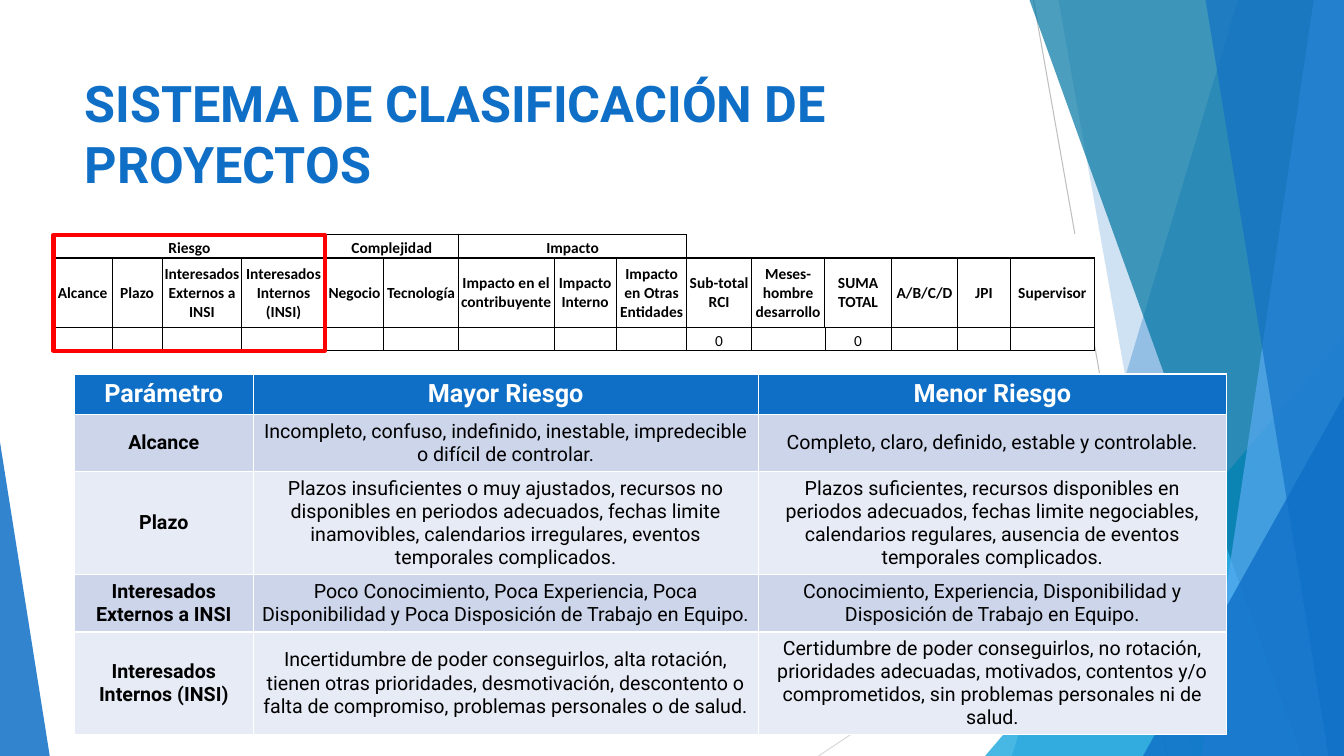
"""Build the project classification slide."""
from lxml import etree
from pptx import Presentation
from pptx import util as u
from pptx.dml.color import RGBColor
from pptx.enum import shapes as sh, text as tx
from pptx.oxml.ns import qn

WIDE, HIGH = u.Inches(13.33), u.Inches(7.5)
BLUE, BLACK, WHITE, RED = "0F6FC6", "000000", "FFFFFF", "FF0000"

SCORE_COLS = [58, 50, 79, 83, 58, 74, 95, 62, 70, 64, 73, 66, 66, 52, 84]
GROUPS = [("Riesgo", 0, 3), ("Complejidad", 4, 5), ("Impacto", 6, 8)]
HEADS = ["Alcance", "Plazo", "Interesados Externos a INSI", "Interesados Internos (INSI)",
         "Negocio", "Tecnología", "Impacto en el contribuyente", "Impacto Interno",
         "Impacto en Otras Entidades", "Sub-total RCI", "Meses-hombre desarrollo",
         "SUMA TOTAL", "A/B/C/D", "JPI", "Supervisor"]
TOTALS = {9: "0", 11: "0"}
HEAVY = {0, 4, 6, 9, 10, 15}

RISKS = [
    ["Parámetro", "Mayor Riesgo", "Menor Riesgo"],
    ["Alcance",
     "Incompleto, confuso, indefinido, inestable, impredecible o difícil de controlar.",
     "Completo, claro, definido, estable y controlable."],
    ["Plazo",
     "Plazos insuficientes o muy ajustados, recursos no disponibles en periodos adecuados, "
     "fechas limite inamovibles, calendarios irregulares, eventos temporales complicados.",
     "Plazos suficientes, recursos disponibles en periodos adecuados, fechas limite "
     "negociables, calendarios regulares, ausencia de eventos temporales complicados."],
    ["Interesados Externos a INSI",
     "Poco Conocimiento, Poca Experiencia, Poca Disponibilidad y Poca Disposición de "
     "Trabajo en Equipo.",
     "Conocimiento, Experiencia, Disponibilidad y Disposición de Trabajo en Equipo."],
    ["Interesados Internos (INSI)",
     "Incertidumbre de poder conseguirlos, alta rotación, tienen otras prioridades, "
     "desmotivación, descontento o falta de compromiso, problemas personales o de salud.",
     "Certidumbre de poder conseguirlos, no rotación, prioridades adecuadas, motivados, "
     "contentos y/o comprometidos, sin problemas personales ni de salud."],
]


def hue(code):
    """Turn a hex string into a colour."""
    return RGBColor.from_string(code)


def across(share):
    """Give a percentage of the slide's width."""
    return u.Emu(round(WIDE * share / 100))


def down(share):
    """Give a percentage of the slide's height."""
    return u.Emu(round(HIGH * share / 100))


def place(left, top, wide, high):
    """Turn four percentages into a box."""
    return across(left), down(top), across(wide), down(high)


def write(frame, words, size=14, font="Roboto", color=BLACK, bold=False,
          align=tx.PP_ALIGN.CENTER):
    """Put formatted text into a frame."""
    para = frame.paragraphs[0]
    para.alignment = align
    if not words:
        para._p.get_or_add_endParaRPr().set("sz", str(size * 100))
        return
    run = para.add_run()
    run.text = words
    run.font.size, run.font.name, run.font.bold = u.Pt(size), font, bold
    run.font.color.rgb = hue(color)


def tint(shape, color, alpha):
    """Fill a shape with a see-through colour, without outline or shadow."""
    shape.shadow.inherit = False
    shape.line.fill.background()
    shape.fill.solid()
    shape.fill.fore_color.rgb = hue(color)
    mark = shape._element.spPr.find(".//" + qn("a:srgbClr"))
    etree.SubElement(mark, qn("a:alpha")).set("val", str(alpha * 1000))


def ray(slide, start, end, color):
    """Draw a thin straight line."""
    line = slide.shapes.add_connector(sh.MSO_CONNECTOR.STRAIGHT, across(start[0]),
                                      down(start[1]), across(end[0]), down(end[1]))
    line.line.color.rgb = hue(color)
    line.line.width = u.Pt(0.75)
    etree.SubElement(line._element.spPr, qn("a:effectLst"))


def pane(slide, top, foot, color, alpha):
    """Draw a slanted pane reaching the right edge."""
    pen = slide.shapes.build_freeform(across(top), 0)
    pen.add_line_segments([(WIDE, 0), (WIDE, HIGH), (across(foot), HIGH)], close=True)
    tint(pen.convert_to_shape(), color, alpha)


def wedge(slide, left, top, wide, tip, color, alpha):
    """Draw a triangle standing on the bottom edge."""
    shape = slide.shapes.add_shape(sh.MSO_SHAPE.ISOSCELES_TRIANGLE,
                                   *place(left, top, wide, 100 - top))
    shape.adjustments[0] = tip
    tint(shape, color, alpha)


def decor(slide):
    """Draw the background facets from back to front."""
    ray(slide, (76.9, 0), (86.85, 100), "BFBFBF")
    ray(slide, (100, 53.75), (60.9, 100), "D9D9D9")
    pane(slide, 92.1, 75.3, BLUE, 30)
    pane(slide, 78.75, 88.75, BLUE, 20)
    wedge(slide, 73.3, 44.4, 26.7, 1, "009DD9", 72)
    pane(slide, 76.6, 96.85, "0076A3", 70)
    pane(slide, 97.75, 89.4, "59AAF2", 70)
    pane(slide, 89.7, 98.85, BLUE, 65)
    wedge(slide, 85.05, 52.4, 14.95, 1, BLUE, 80)
    wedge(slide, 0, 58.5, 3.7, 0, BLUE, 85)


def grid(slide, box, cols, rows):
    """Add a table whose columns and rows share the box by weight."""
    table = slide.shapes.add_table(len(rows), len(cols), *box).table
    for col, part in zip(table.columns, cols):
        col.width = u.Emu(round(box[2] * part / sum(cols)))
    for row, part in zip(table.rows, rows):
        row.height = u.Emu(round(box[3] * part / sum(rows)))
    return table


def paint(cell, color, anchor=tx.MSO_ANCHOR.MIDDLE, tight=False):
    """Set a cell's fill, anchor and margins."""
    cell.fill.solid()
    cell.fill.fore_color.rgb = hue(color)
    cell.vertical_anchor = anchor
    if tight:
        cell.margin_left = cell.margin_right = cell.margin_top = cell.margin_bottom = 0


def edge(cell, **sides):
    """Add black borders, with widths in points by side."""
    for side in "LRTB":
        if side in sides:
            line = etree.SubElement(cell._tc.get_or_add_tcPr(), qn("a:ln" + side))
            line.set("w", str(u.Pt(sides[side])))
            fill = etree.SubElement(line, qn("a:solidFill"))
            etree.SubElement(fill, qn("a:srgbClr")).set("val", BLACK)


def rule(row, col):
    """Give the width of the upright at the left of a column."""
    return 1 if col in HEAVY or (row == 1 and col > 9) else 0.5


def scores(slide, box):
    """Draw the scoring table with its grouped headings."""
    table = grid(slide, box, SCORE_COLS, [1, 3, 1])
    table.first_row = table.horz_banding = False
    tops = {first: name for name, first, last in GROUPS}
    for row in range(3):
        for col, head in enumerate(HEADS):
            cell = table.cell(row, col)
            if row == 0 and col > 8:
                edge(cell, B=1, **({"L": 1} if col == 9 else {}))
            else:
                edge(cell, L=rule(row, col), R=rule(row, col + 1), T=1,
                     B=0.5 if row == 2 else 1)
            words = (tops.get(col, ""), head, TOTALS.get(col, ""))[row]
            anchor = tx.MSO_ANCHOR.MIDDLE if row == 1 else tx.MSO_ANCHOR.BOTTOM
            paint(cell, WHITE, anchor, tight=True)
            write(cell.text_frame, words, size=11, font="Calibri", bold=row < 2)
    for name, first, last in GROUPS:
        table.cell(0, first).merge(table.cell(0, last))


def risks(slide, box):
    """Draw the table that compares higher and lower risk."""
    table = grid(slide, box, [177, 501, 464], [40, 57, 101, 57, 102])
    for row, line in enumerate(RISKS):
        for col, words in enumerate(line):
            cell = table.cell(row, col)
            if row == 0:
                paint(cell, BLUE, tx.MSO_ANCHOR.TOP)
                write(cell.text_frame, words, size=18, color=WHITE, bold=True)
            else:
                paint(cell, "CCD5EA" if row % 2 else "E7EBF5", tight=row == 3 and col < 2)
                write(cell.text_frame, words, bold=col == 0)


def title(slide, words, box):
    """Place and fill the title."""
    head = slide.shapes.title
    head.left, head.top, head.width, head.height = box
    frame = head.text_frame
    frame.word_wrap, frame.auto_size = True, tx.MSO_AUTO_SIZE.NONE
    frame.vertical_anchor = tx.MSO_ANCHOR.TOP
    write(frame, words, size=36, color=BLUE, bold=True, align=tx.PP_ALIGN.LEFT)


def frame(slide, box):
    """Draw the red frame around the risk columns."""
    shape = slide.shapes.add_shape(sh.MSO_SHAPE.RECTANGLE, *box)
    shape.shadow.inherit = False
    shape.fill.background()
    shape.line.color.rgb = hue(RED)
    shape.line.width = u.Pt(3)


def main():
    """Compose and save the slide."""
    deck = Presentation()
    deck.slide_width, deck.slide_height = WIDE, HIGH
    slide = deck.slides.add_slide(deck.slide_layouts[5])
    decor(slide)
    title(slide, "SISTEMA DE CLASIFICACIÓN DE PROYECTOS", place(5.55, 8.93, 70.5, 19.2))
    scores(slide, place(3.98, 31.07, 77.5, 15.33))
    risks(slide, place(5.55, 49.47, 85.7, 47.6))
    frame(slide, place(3.98, 31.07, 20.18, 15.33))
    deck.save("out.pptx")


if __name__ == "__main__":
    main()
